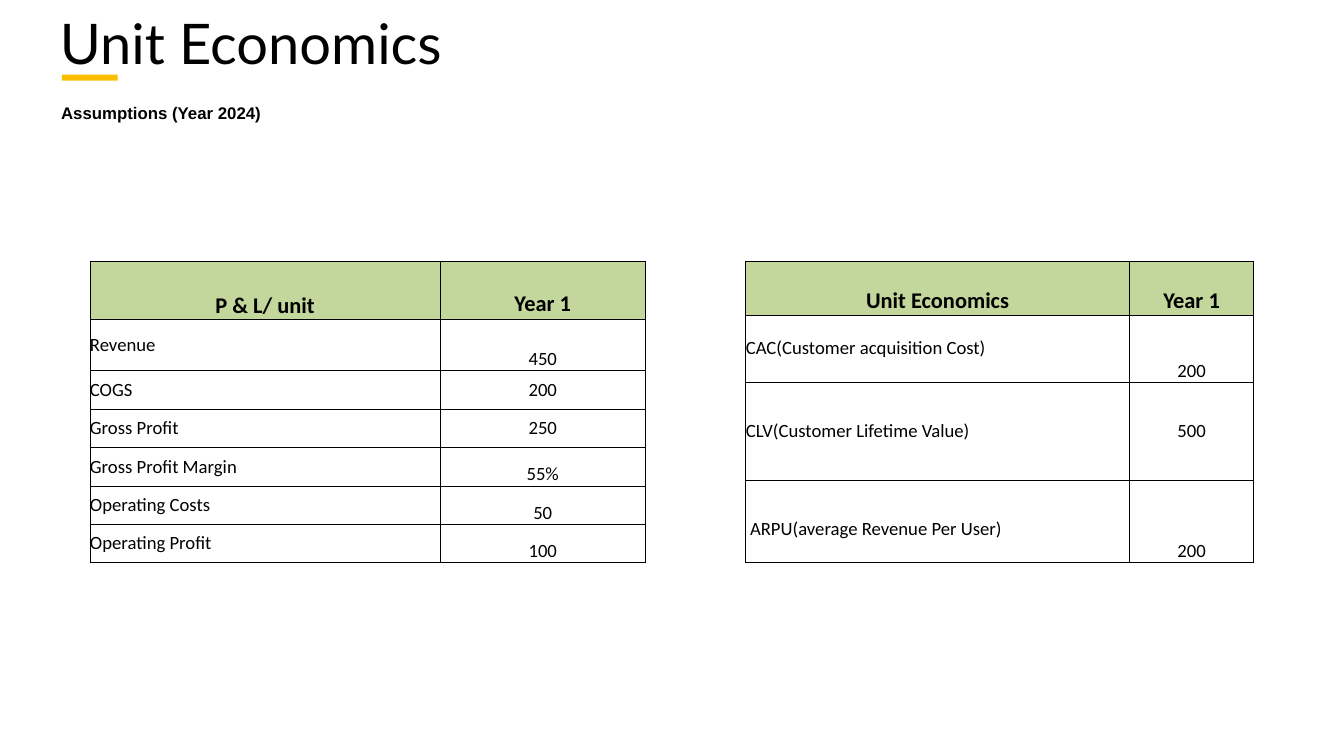
from lxml.etree import SubElement
from pptx import Presentation
from pptx.dml.color import RGBColor as RGB
from pptx.enum.shapes import MSO_SHAPE as Shape
from pptx.enum.text import MSO_ANCHOR as Anchor, PP_ALIGN as Align
from pptx.oxml.ns import qn
from pptx.util import Cm, Pt


class Theme:
    ink = "000000"
    paper = "FFFFFF"
    accent = "FABE00"
    header = "C3D69B"
    title_font, table_font, note_font = "Lato", "Calibri", "Arial"
    title_size, header_size, body_size, note_size = 60, 24, 20, 18


TITLE = "Unit Economics"
NOTE = "Assumptions (Year 2024)"
MID, LOW = Anchor.MIDDLE, Anchor.BOTTOM

# Each row: height in cm, label, value, anchor of the value
PROFIT_AND_LOSS = [
    (2.21, "P & L/ unit", "Year 1", LOW),
    (1.93, "Revenue", "450", LOW),
    (1.45, "COGS", "200", MID),
    (1.45, "Gross Profit", "250", MID),
    (1.45, "Gross Profit Margin", "55%", LOW),
    (1.45, "Operating Costs", "50", LOW),
    (1.45, "Operating Profit", "100", LOW),
]
CUSTOMER_VALUE = [
    (2.03, "Unit Economics", "Year 1", LOW),
    (2.54, "CAC(Customer acquisition Cost)", "200", LOW),
    (3.73, "CLV(Customer Lifetime Value)", "500", MID),
    (3.1, "ARPU(average Revenue Per User)", "200", LOW),
]
TABLES_TOP = 9.88


def write(frame, text, font, size, bold=False, align=Align.LEFT):
    paragraph = frame.paragraphs[0]
    paragraph.alignment = align
    run = paragraph.add_run()
    run.text = text
    run.font.name, run.font.size, run.font.bold = font, Pt(size), bold
    run.font.color.rgb = RGB.from_string(Theme.ink)


def set_margins(box, left, top, right, bottom):
    box.margin_left, box.margin_top = Cm(left), Cm(top)
    box.margin_right, box.margin_bottom = Cm(right), Cm(bottom)


def style_cell(cell, border, fill=None):
    """Draw the four 1 pt borders, then the fill, which must follow them in the XML."""
    properties = cell._tc.get_or_add_tcPr()
    for side in ("lnL", "lnR", "lnT", "lnB"):
        line = SubElement(properties, qn(f"a:{side}"), w=str(Pt(1)))
        solid = SubElement(line, qn("a:solidFill"))
        SubElement(solid, qn("a:srgbClr"), val=border)
    if fill:
        cell.fill.solid()
        cell.fill.fore_color.rgb = RGB.from_string(fill)
    else:
        cell.fill.background()


def add_plain_table(slide, left, top, widths, heights):
    table = slide.shapes.add_table(
        len(heights), len(widths), Cm(left), Cm(top), Cm(sum(widths)), Cm(sum(heights))
    ).table
    table.first_row = table.horz_banding = False
    for column, width in zip(table.columns, widths):
        column.width = Cm(width)
    for row, height in zip(table.rows, heights):
        row.height = Cm(height)
    return table


def add_figures(slide, left, widths, rows):
    table = add_plain_table(slide, left, TABLES_TOP, widths, [row[0] for row in rows])
    for r, (_, label, value, value_anchor) in enumerate(rows):
        is_header = r == 0
        size = Theme.header_size if is_header else Theme.body_size
        columns = [
            (label, LOW if is_header else MID, Align.CENTER if is_header else Align.LEFT),
            (value, value_anchor, Align.CENTER),
        ]
        for c, (text, anchor, align) in enumerate(columns):
            cell = table.cell(r, c)
            set_margins(cell, 0, 0, 0, 0)
            cell.vertical_anchor = anchor
            write(cell.text_frame, text, Theme.table_font, size, is_header, align)
            style_cell(cell, Theme.ink, Theme.header if is_header else None)
    return table


def main():
    deck = Presentation()
    deck.slide_width, deck.slide_height = Cm(50.8), Cm(28.58)
    slide = deck.slides.add_slide(deck.slide_layouts[6])

    title = slide.shapes.add_textbox(Cm(1.8), Cm(0.58), Cm(42.52), Cm(2.03)).text_frame
    title.word_wrap = True
    title.vertical_anchor = MID
    set_margins(title, 0.46, 0.23, 0.46, 0.23)
    write(title, TITLE, Theme.title_font, Theme.title_size)

    underline = slide.shapes.add_shape(Shape.RECTANGLE, Cm(2.34), Cm(2.82), Cm(2.11), Cm(0.23))
    underline.shadow.inherit = False
    underline.fill.solid()
    underline.fill.fore_color.rgb = RGB.from_string(Theme.accent)
    underline.line.fill.background()

    profit = add_figures(slide, 3.4, (13.23, 7.77), PROFIT_AND_LOSS)
    profit.cell(0, 1).margin_bottom = Cm(0.1)

    customer = add_figures(slide, 28.19, (14.5, 4.7), CUSTOMER_VALUE)
    revenue_per_user = customer.cell(3, 0)
    revenue_per_user.vertical_anchor = LOW
    set_margins(revenue_per_user, 0.16, 0, 0, 0.86)

    assumptions = add_plain_table(slide, 1.8, 3.68, [12.4], [1.27] * 3)
    for cell in assumptions.iter_cells():
        set_margins(cell, 0.51, 0.25, 0.51, 0.25)
        style_cell(cell, Theme.paper)
    write(assumptions.cell(0, 0).text_frame, NOTE, Theme.note_font, Theme.note_size,
          True, Align.JUSTIFY)

    deck.save("out.pptx")


if __name__ == "__main__":
    main()
